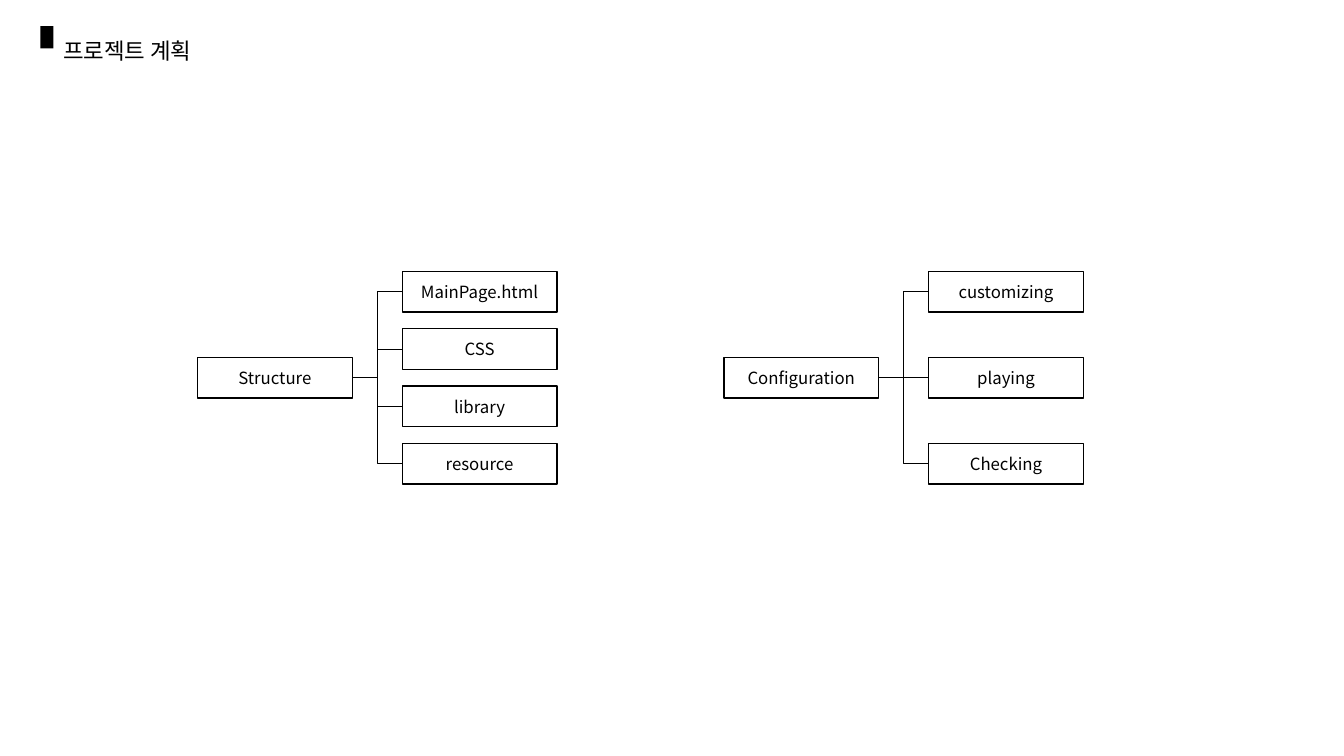
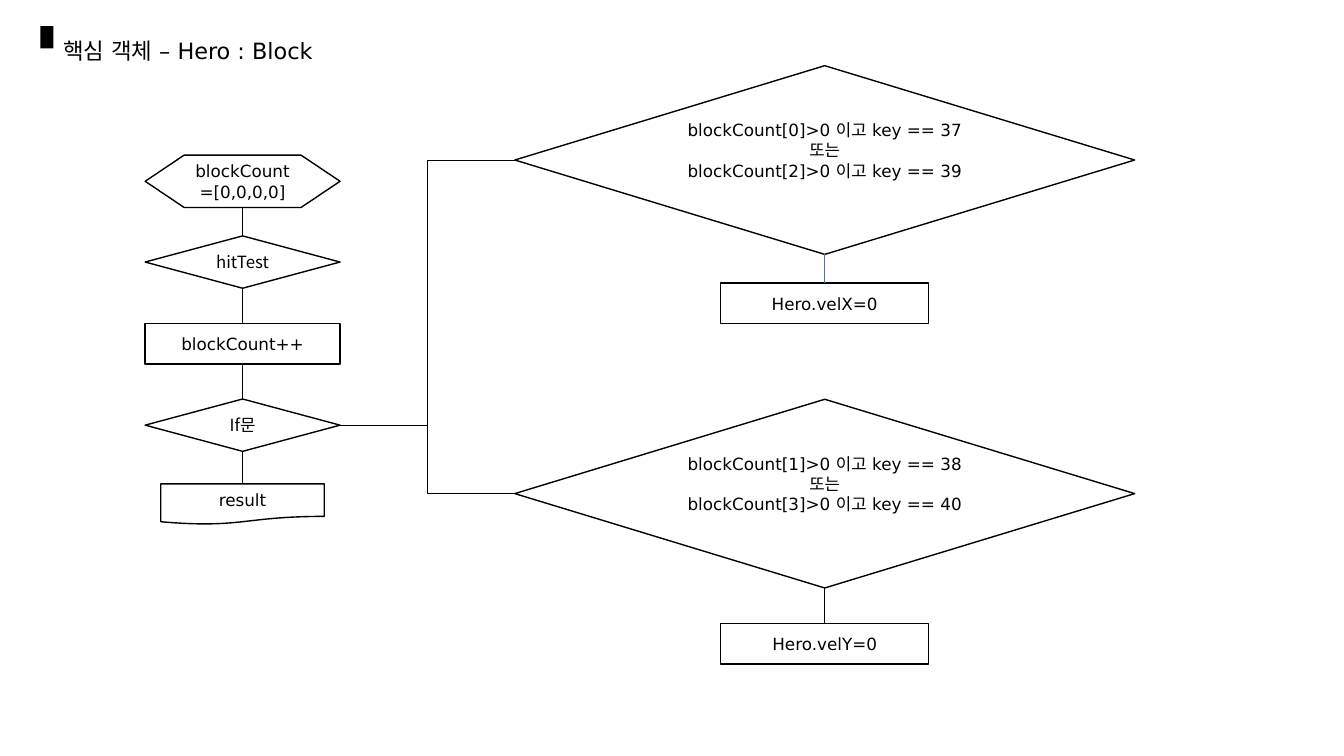
from lxml import etree
from pptx import Presentation
from pptx.dml.color import RGBColor
from pptx.enum.shapes import MSO_CONNECTOR as CONN, MSO_SHAPE as SHAPE
from pptx.enum.text import MSO_ANCHOR as ANCHOR, PP_ALIGN as ALIGN
from pptx.oxml.ns import qn
from pptx.util import Pt

COLORS = {"ink": "000000", "paper": "FFFFFF", "accent": "4472C4"}
NOTO, DEJAVU = "Noto Sans CJK KR", "DejaVu Sans"
TOP, LEFT, BOTTOM, RIGHT = range(4)
FRAME = {"word_wrap": True, "vertical_anchor": ANCHOR.MIDDLE}
TITLE = {"line_spacing": 0.9}
LABEL = {"alignment": ALIGN.CENTER}


def apply(obj, values):
    for name, value in values.items():
        setattr(obj, name, value)


def rgb(name):
    return RGBColor.from_string(COLORS[name])


class Deck:
    def __init__(self):
        self.prs = Presentation()
        apply(self.prs, {"slide_width": Pt(960), "slide_height": Pt(540)})
        self.s = None

    def slide(self, title, font):
        self.s = self.prs.slides.add_slide(self.prs.slide_layouts[6])
        sp = self.s.shapes.add_textbox(Pt(38), Pt(18.7), Pt(382), Pt(37.5))
        self.text(sp, title, font, 16, TITLE)
        self.shape(SHAPE.RECTANGLE, 28.8, 18.7, 9.4, 15.8, "ink")

    def text(self, sp, text, font, size, para):
        tf = sp.text_frame
        apply(tf, FRAME)
        tf.text = text
        for p in tf.paragraphs:
            apply(p, para)
            for r in p.runs:
                apply(r.font, {"name": font, "size": Pt(size)})
                r.font.color.rgb = rgb("ink")
                ea = etree.SubElement(r.font._element, qn("a:ea"))
                ea.set("typeface", font)

    def shape(self, kind, x, y, w, h, fill):
        sp = self.s.shapes.add_shape(kind, Pt(x), Pt(y), Pt(w), Pt(h))
        sp.shadow.inherit = False
        sp.fill.solid()
        sp.fill.fore_color.rgb = rgb(fill)
        sp.line.fill.background()
        return sp

    def node(self, text, center, y, w, h, font=DEJAVU, kind=SHAPE.RECTANGLE):
        sp = self.shape(kind, center - w / 2, y, w, h, "paper")
        sp.line.color.rgb = rgb("ink")
        sp.line.width = Pt(1)
        self.text(sp, text, font, 12, LABEL)
        return sp

    def link(self, start, start_side, end, end_side, kind=CONN.STRAIGHT, color="ink"):
        c = self.s.shapes.add_connector(kind, 0, 0, 0, 0)
        c.begin_connect(start, start_side)
        c.end_connect(end, end_side)
        c.line.color.rgb = rgb(color)
        c.line.width = Pt(0.5)
        etree.SubElement(c._element.spPr, qn("a:effectLst"))

    def tree(self, root, children, center):
        top, span, w, h = 193.8, 123, 110.5, 29
        parent = self.node(root, center, top + span / 2, w, h, NOTO)
        step = span / (len(children) - 1)
        for i, name in enumerate(children):
            child = self.node(name, center + 146.2, top + i * step, w, h, NOTO)
            kind = CONN.STRAIGHT if 2 * i == len(children) - 1 else CONN.ELBOW
            self.link(parent, RIGHT, child, LEFT, kind)

    def flow(self, steps, center):
        previous = None
        for text, y, w, h, font, kind in steps:
            sp = self.node(text, center, y, w, h, font, kind)
            if previous is not None:
                self.link(previous, BOTTOM, sp, TOP)
            previous = sp
            yield sp

    def branch(self, source, condition, y, result, result_y, color):
        center = 589.1
        test = self.node(condition, center, y, 442.8, 134.8, kind=SHAPE.FLOWCHART_DECISION)
        test.text_frame.margin_bottom = Pt(17.6)
        action = self.node(result, center, result_y, 148.5, 29)
        self.link(source, RIGHT, test, LEFT, CONN.ELBOW)
        self.link(test, BOTTOM, action, TOP, color=color)


def main():
    deck = Deck()

    deck.slide("프로젝트 계획", NOTO)
    deck.tree("Structure", ["MainPage.html", "CSS", "library", "resource"], 196.4)
    deck.tree("Configuration", ["customizing", "playing", "Checking"], 572.4)

    deck.slide("핵심 객체 – Hero : Block", DEJAVU)
    steps = [
        ("blockCount=[0,0,0,0]", 110.8, 139.2, 37.4, DEJAVU, SHAPE.FLOWCHART_PREPARATION),
        ("hitTest", 168.5, 139.2, 37.4, NOTO, SHAPE.FLOWCHART_DECISION),
        ("blockCount++", 231, 139.2, 29, DEJAVU, SHAPE.RECTANGLE),
        ("If문", 285, 139.2, 37.4, NOTO, SHAPE.FLOWCHART_DECISION),
        ("result", 345.6, 116.8, 29, DEJAVU, SHAPE.FLOWCHART_DOCUMENT),
    ]
    check = list(deck.flow(steps, 173.3))[3]
    branches = [
        ((0, 37), (2, 39), 46.9, "Hero.velX=0", 202.2, "accent"),
        ((1, 38), (3, 40), 285.2, "Hero.velY=0", 445.2, "ink"),
    ]
    for first, second, y, result, result_y, color in branches:
        tests = [f"blockCount[{i}]>0 이고 key == {key}" for i, key in (first, second)]
        deck.branch(check, "\n또는\n".join(tests), y, result, result_y, color)

    deck.prs.save("out.pptx")


if __name__ == "__main__":
    main()
